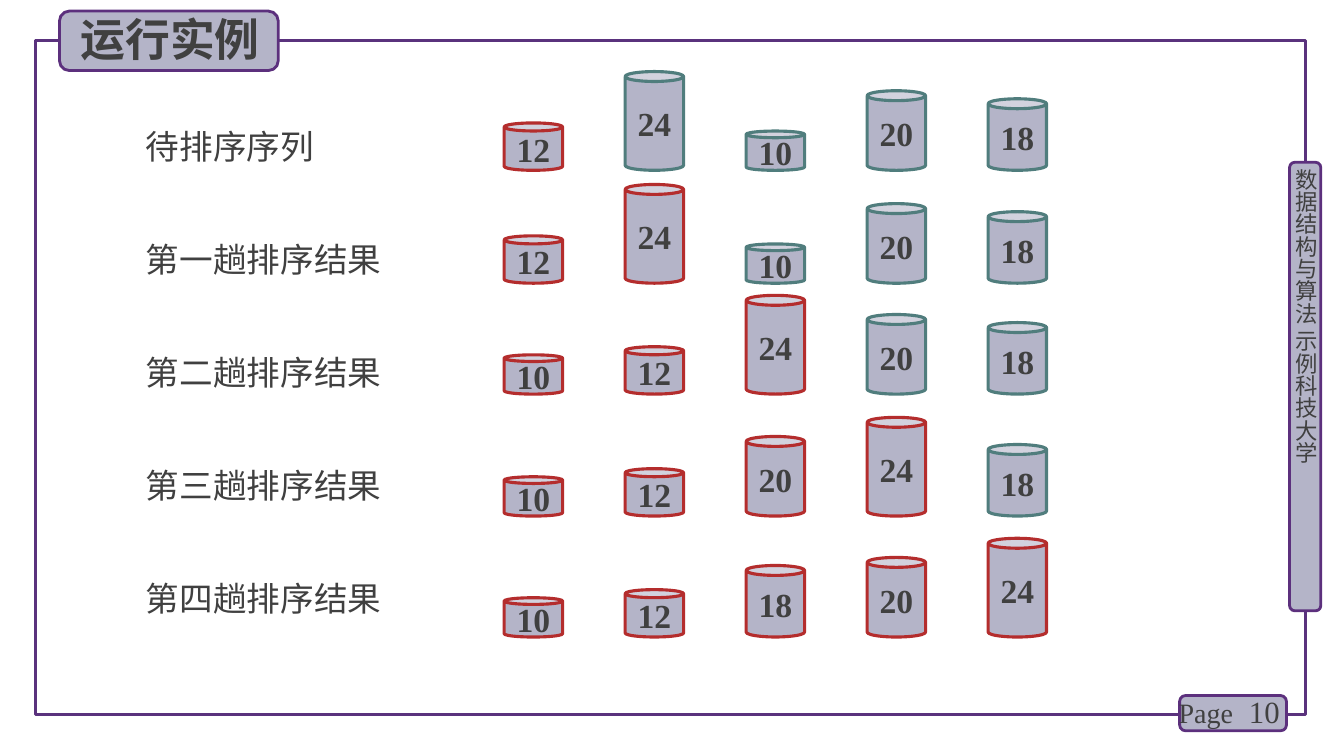
from dataclasses import dataclass

from lxml import etree
from pptx import Presentation
from pptx.dml.color import RGBColor
from pptx.enum.shapes import MSO_SHAPE
from pptx.enum.text import MSO_ANCHOR, MSO_AUTO_SIZE, PP_ALIGN
from pptx.oxml.ns import qn
from pptx.util import Inches, Pt

RECT, ROUND, CAN = MSO_SHAPE.RECTANGLE, MSO_SHAPE.ROUNDED_RECTANGLE, MSO_SHAPE.CAN
MIDDLE = MSO_ANCHOR.MIDDLE
LEFT, CENTER, RIGHT = PP_ALIGN.LEFT, PP_ALIGN.CENTER, PP_ALIGN.RIGHT
GROW = MSO_AUTO_SIZE.SHAPE_TO_FIT_TEXT


@dataclass(frozen=True)
class Theme:
    frame: str = "5A327D"
    badge: str = "5C307D"
    fill: str = "B4B4C8"
    ink: str = "404040"
    sorted_line: str = "B42D2D"
    waiting_line: str = "507D7D"
    chinese: str = "Noto Sans CJK SC"
    latin: str = "Times New Roman"
    title: int = 32
    body: int = 24
    number: int = 22
    page: int = 20
    side: int = 16


theme = Theme()
deck = Presentation()
deck.slide_width, deck.slide_height = Inches(13.33), Inches(7.5)
page = deck.slides.add_slide(deck.slide_layouts[6])


def add_outline(preset, place, line, width, fill=None):
    shape = page.shapes.add_shape(preset, *map(Inches, place))
    shape.shadow.inherit = False
    if fill:
        shape.fill.solid()
        shape.fill.fore_color.rgb = RGBColor.from_string(fill)
    else:
        shape.fill.background()
    shape.line.color.rgb = RGBColor.from_string(line)
    shape.line.width = Pt(width)
    return shape


def write(shape, text, size, font, bold=False, align=LEFT, wrap=True):
    frame = shape.text_frame
    frame.text = text
    frame.word_wrap = wrap
    para = frame.paragraphs[0]
    para.alignment = align
    span = para.runs[0]
    span.font.size, span.font.bold, span.font.name = Pt(size), bold, font
    span.font.color.rgb = RGBColor.from_string(theme.ink)
    # East Asian glyphs take their own typeface entry
    etree.SubElement(span._r.get_or_add_rPr(), qn("a:ea"), typeface=font)
    return frame


# Page frame and badges
add_outline(RECT, (0.35, 0.4, 12.6, 6.69), theme.frame, 2.25)
badges = [
    (12.79, 1.61, 0.31, 4.45),
    (11.7, 6.9, 1.06, 0.35),
    (0.59, 0.11, 2.17, 0.59),
]
for place in badges:
    add_outline(ROUND, place, theme.badge, 2, theme.fill)

# Vertical course name
box = page.shapes.add_textbox(*map(Inches, (12.82, 1.67, 0.27, 4.49)))
frame = write(box, "数据结构与算法 示例科技大学", theme.side, theme.chinese)
frame.margin_left = frame.margin_right = frame.margin_top = frame.margin_bottom = 0
frame.auto_size = GROW
frame._txBody.bodyPr.set("vert", "eaVert")

# Page number
box = page.shapes.add_textbox(*map(Inches, (11.87, 6.86, 0.92, 0.4)))
write(box, "10", theme.number, theme.latin, align=RIGHT).vertical_anchor = MIDDLE
box = page.shapes.add_textbox(*map(Inches, (11.59, 6.85, 1.28, 0.44)))
write(box, "Page", theme.page, theme.latin).auto_size = GROW

# Title
box = page.shapes.add_textbox(*map(Inches, (0.7, 0.07, 2.1, 0.64)))
write(box, "运行实例", theme.title, theme.chinese, bold=True).auto_size = GROW

# Sorting passes: label, floor of the cans, values; pass n has n + 1 sorted values
passes = [
    ("待排序序列", 1.69, (12, 24, 10, 20, 18)),
    ("第一趟排序结果", 2.81, (12, 24, 10, 20, 18)),
    ("第二趟排序结果", 3.91, (10, 12, 24, 20, 18)),
    ("第三趟排序结果", 5.12, (10, 12, 20, 24, 18)),
    ("第四趟排序结果", 6.32, (10, 12, 18, 20, 24)),
]
can_heights = {10: 0.39, 12: 0.47, 18: 0.71, 20: 0.79, 24: 0.98}
can_width, can_left, can_step = 0.58, 5.0, 1.2
label_top, label_step = 1.2, 1.12

for row, (label, floor, values) in enumerate(passes):
    box = page.shapes.add_textbox(
        Inches(1.35), Inches(label_top + row * label_step), Inches(2.93), Inches(0.5))
    write(box, label, theme.body, theme.chinese).auto_size = GROW
    for column, value in enumerate(values):
        height = can_heights[value]
        line = theme.sorted_line if column <= row else theme.waiting_line
        place = (can_left + column * can_step, floor - height, can_width, height)
        can = add_outline(CAN, place, line, 2.25, theme.fill)
        can.adjustments[0] = 0.17
        frame = write(can, str(value), theme.body, theme.latin, True, CENTER, False)
        frame.vertical_anchor = MIDDLE

deck.save("out.pptx")
